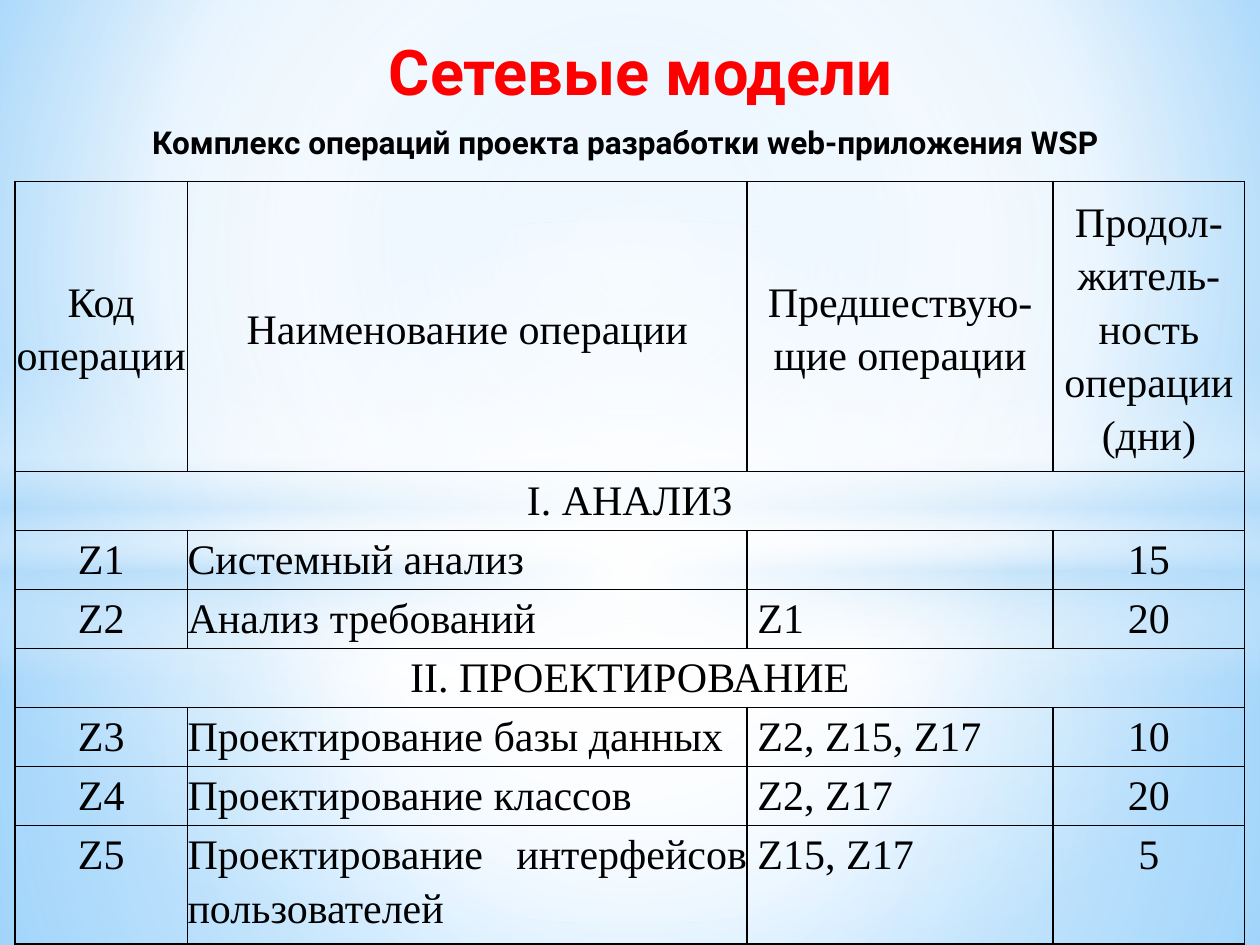
import pptx
import pptx.dml.color
import pptx.enum.shapes
import pptx.enum.text
import pptx.oxml
import pptx.oxml.ns
import pptx.util
from lxml import etree

Cm = pptx.util.Cm
Pt = pptx.util.Pt
ALIGN = pptx.enum.text.PP_ALIGN
SHAPE = pptx.enum.shapes.MSO_SHAPE
qn = pptx.oxml.ns.qn

SLIDE_W, SLIDE_H = 25.4, 19.05
CENTER = (50, 50, 50, 50)

# Background layers: shape, box in cm, stops (position, colour, opacity), focus
LAYERS = [
    (SHAPE.RECTANGLE, (0, 10.74, SLIDE_W, 8.31),
     [(0, "FFFFFF", 91), (37, "FFFFFF", 76), (100, "B4DCFA", 79)], CENTER),
    (SHAPE.RECTANGLE, (0, 0, SLIDE_W, 10.74),
     [(0, "FFFFFF", 89), (48, "FFFFFF", 62), (100, "B4DCFA", 79)], CENTER),
    (SHAPE.RECTANGLE, (0, 7.37, SLIDE_W, 6.35),
     [(0, "FFFFFF", 0), (29, "FFFFFF", 30), (45, "B4DCFA", 40),
      (55, "FFFFFF", 26), (65, "B4DCFA", 60), (100, "FFFFFF", 0)], None),
    (SHAPE.OVAL, (0, 4.45, SLIDE_W, 14.17),
     [(0, "FFFFFF", 100), (54, "FFFFFF", 0)], CENTER),
]

# Table content: a one-item row is a section heading across all columns
COL_WIDTHS = [3.48, 11.28, 6.17, 3.86]
ROW_HEIGHTS = [5.82] + [1.19] * 6 + [2.39]
ROWS = [
    ["Код\nоперации", "Наименование операции", "Предшествую-щие операции",
     "Продол-житель-ность\nоперации (дни)"],
    ["I. АНАЛИЗ"],
    ["Z1", "Системный анализ", "", "15"],
    ["Z2", "Анализ требований", "Z1", "20"],
    ["II. ПРОЕКТИРОВАНИЕ"],
    ["Z3", "Проектирование базы данных", "Z2, Z15, Z17", "10"],
    ["Z4", "Проектирование классов", "Z2, Z17", "20"],
    ["Z5", "Проектирование интерфейсов пользователей", "Z15, Z17", "5"],
]


def rgb(value):
    return pptx.dml.color.RGBColor.from_string(value)


def apply(obj, **formats):
    for name, value in formats.items():
        setattr(obj, name, value)


def set_gradient(fill, element, stops, focus=None):
    """Radial gradient towards focus, or a vertical one without it."""
    fill.gradient()
    grad = element.find(".//" + qn("a:gradFill"))
    for child in list(grad):
        grad.remove(child)
    gs_list = etree.SubElement(grad, qn("a:gsLst"))
    for pos, color, opacity in stops:
        gs = etree.SubElement(gs_list, qn("a:gs"), pos=str(pos * 1000))
        clr = etree.SubElement(gs, qn("a:srgbClr"), val=color)
        if opacity < 100:
            etree.SubElement(clr, qn("a:alpha"), val=str(opacity * 1000))
    if focus:
        path = etree.SubElement(grad, qn("a:path"), path="circle")
        edges = {k: str(v * 1000) for k, v in zip("ltrb", focus)}
        etree.SubElement(path, qn("a:fillToRect"), edges)
    else:
        etree.SubElement(grad, qn("a:lin"), ang="5400000", scaled="0")


def add_layer(s, kind, box, stops, focus):
    sp = s.shapes.add_shape(kind, *map(Cm, box))
    sp.shadow.inherit = False
    sp.line.fill.background()
    set_gradient(sp.fill, sp.element, stops, focus)


def write(p, text, align, font, size, color, bold=False):
    p.alignment = align
    if text:
        r = p.add_run()
        r.text = text
        apply(r.font, name=font, size=Pt(size), bold=bold)
        r.font.color.rgb = rgb(color)


def add_heading(s, box, text, size, color):
    tf = s.shapes.add_textbox(*map(Cm, box)).text_frame
    apply(tf, word_wrap=True,
          auto_size=pptx.enum.text.MSO_AUTO_SIZE.SHAPE_TO_FIT_TEXT)
    write(tf.paragraphs[0], text, ALIGN.CENTER, "Roboto", size, color, True)


def set_borders(cell, sides):
    tc_pr = cell._tc.get_or_add_tcPr()
    for side in sides:
        ln = etree.SubElement(tc_pr, qn("a:ln" + side), w="12700")
        fill = etree.SubElement(ln, qn("a:solidFill"))
        etree.SubElement(fill, qn("a:srgbClr"), val="000000")


def fill_cell(cell, text, align, indent, anchor):
    apply(cell, margin_left=Cm(indent), margin_right=0, margin_top=0,
          margin_bottom=0, vertical_anchor=anchor)
    tf = cell.text_frame
    for i, line in enumerate(text.split("\n")):
        p = tf.add_paragraph() if i else tf.paragraphs[0]
        p.line_spacing = 1.15
        write(p, line, align, "Times New Roman", 24, "000000")


def add_operations_table(s, left, top):
    frame = s.shapes.add_table(len(ROWS), len(COL_WIDTHS), Cm(left), Cm(top),
                               Cm(sum(COL_WIDTHS)), Cm(sum(ROW_HEIGHTS)))
    table = frame.table
    apply(table, first_row=False, horz_banding=False)
    for col, width in zip(table.columns, COL_WIDTHS):
        col.width = Cm(width)
    for row, height in zip(table.rows, ROW_HEIGHTS):
        row.height = Cm(height)

    last = len(COL_WIDTHS) - 1
    for i, texts in enumerate(ROWS):
        if len(texts) == 1:
            table.cell(i, 0).merge(table.cell(i, last))
        for j in range(last + 1):
            cell = table.cell(i, j)
            if not cell.is_spanned:
                body = i > 0 and j in (1, 2)
                fill_cell(cell, texts[j],
                          ALIGN.JUSTIFY if body else ALIGN.CENTER,
                          0.21 if body and j == 2 else 0,
                          pptx.enum.text.MSO_ANCHOR.TOP if i
                          else pptx.enum.text.MSO_ANCHOR.MIDDLE)
                set_borders(cell, "LRTB")
            else:
                set_borders(cell, "RTB" if j == last else "TB")
            cell.fill.background()


def main():
    prs = pptx.Presentation()
    apply(prs, slide_width=Cm(SLIDE_W), slide_height=Cm(SLIDE_H))
    s = prs.slides.add_slide(prs.slide_layouts[6])

    # Background
    set_gradient(s.background.fill, s.element,
                 [(0, "9ED5FF", 100), (60, "FFFFFF", 100),
                  (100, "5BB9FF", 100)], (20, 10, 20, 60))
    for layer in LAYERS:
        add_layer(s, *layer)

    # Headings
    add_heading(s, (0.71, 0.53, 24.41, 1.8), "Сетевые модели", 36, "FF0000")
    add_heading(s, (0.71, 2.36, 23.8, 1.02),
                "Комплекс операций проекта разработки web-приложения WSP",
                18, "000000")

    # Operations
    add_operations_table(s, 0.3, 3.66)
    prs.save("out.pptx")


main()
